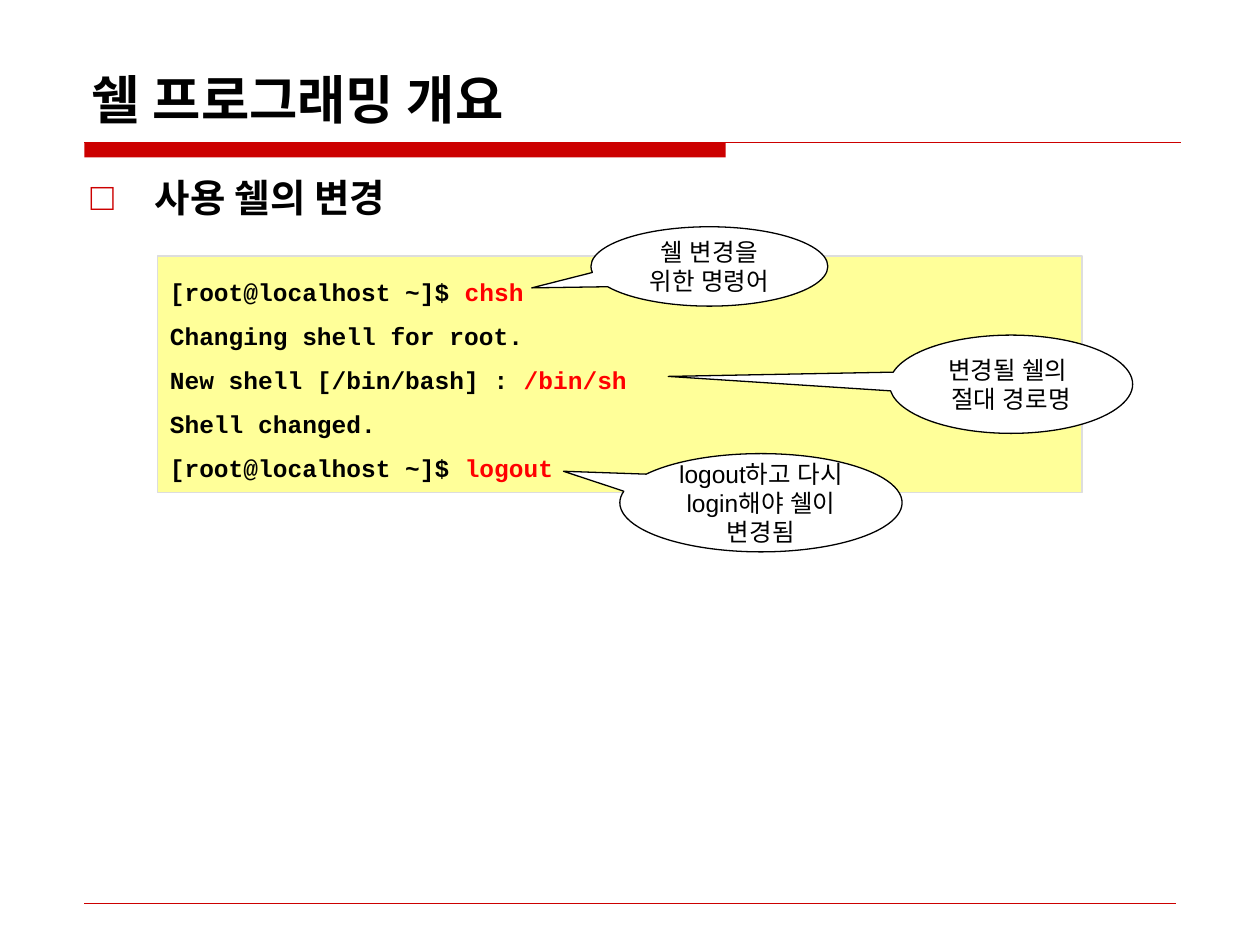
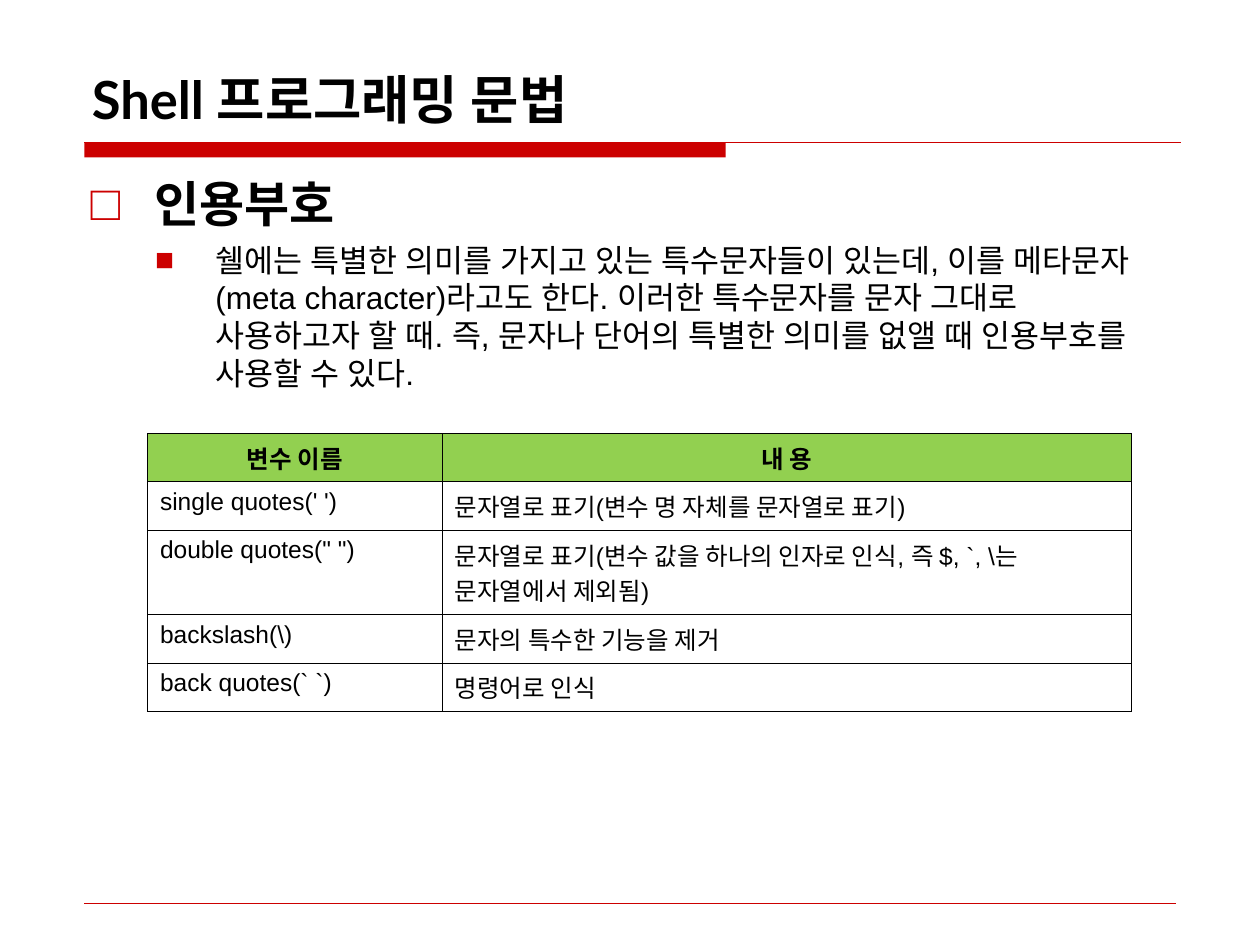
from pptx import Presentation
from pptx.dml.color import RGBColor
from pptx.enum.shapes import MSO_CONNECTOR as Conn, MSO_SHAPE as Shape
from pptx.enum.text import MSO_ANCHOR as Anchor, MSO_AUTO_SIZE as Auto, PP_ALIGN as Align
from pptx.oxml.ns import qn
from pptx.util import Inches, Pt
from lxml.etree import SubElement as Sub

RED, BLACK, WHITE = "CC0000", "000000", "FFFFFF"
HOT, CREAM, GRAY, GREEN = "FF0000", "FFFF99", "DDDDDD", "92D050"


def tint(code):
    return RGBColor.from_string(code)


def place(item, box):
    item.left, item.top, item.width, item.height = map(Inches, box)


class Deck:
    def __init__(self):
        self.show = Presentation()
        self.show.slide_width, self.show.slide_height = Inches(10), Inches(7.5)

    def page(self, title):
        self.slide = self.show.slides.add_slide(self.show.slide_layouts[1])
        self.shapes = self.slide.shapes
        self.shape(Shape.RECTANGLE, (0.67, 1.13, 5.09, 0.12), RED)
        self.rule(0.67, 9.37, 1.13, 0.75)
        self.rule(0.67, 9.33, 7.17, 0.25)
        head = self.shapes.title
        place(head, (0.63, 0.33, 8.75, 0.75))
        frame = self.frame(head.text_frame, Anchor.BOTTOM)
        frame.text = title
        self.font(frame.paragraphs[0], 30, "Lato", True, "Lato")

    def frame(self, frame, anchor):
        frame.word_wrap = True
        frame.auto_size = Auto.NONE
        frame.vertical_anchor = anchor
        return frame

    def font(self, para, size, name="Arial", bold=False, asian=None, align=Align.LEFT):
        para.alignment = align
        font = para.font
        font.size, font.name, font.bold = Pt(size), name, bold
        font.color.rgb = tint(BLACK)
        if asian:
            Sub(font._element, qn("a:ea"), typeface=asian)

    def shape(self, kind, box, fill, line=None, width=0.75):
        item = self.shapes.add_shape(kind, *map(Inches, box))
        item.shadow.inherit = False
        item.fill.solid()
        item.fill.fore_color.rgb = tint(fill)
        if line:
            item.line.color.rgb = tint(line)
            item.line.width = Pt(width)
        else:
            item.line.fill.background()
        return item

    def rule(self, left, right, top, width):
        line = self.shapes.add_connector(
            Conn.STRAIGHT, Inches(left), Inches(top), Inches(right), Inches(top))
        line.line.color.rgb = tint(RED)
        line.line.width = Pt(width)
        Sub(line._element.spPr, qn("a:effectLst"))

    def list(self, items):
        body = self.slide.placeholders[1]
        place(body, (0.62, 1.33, 8.75, 5.25))
        frame = self.frame(body.text_frame, Anchor.TOP)
        frame.text = "\n".join(text for text, *_ in items)
        for para, (_, level, size) in zip(frame.paragraphs, items):
            para.level = level
            para.space_before = Pt(4.5 * level)
            self.bullet(para, level)
            self.font(para, size, bold=level == 0, asian="Lato")

    def bullet(self, para, level):
        left, hang, mark = ((0.51, 0.51, "□"), (0.99, 0.48, "■"))[level]
        props = para._p.get_or_add_pPr()
        props.set("marL", str(Inches(left)))
        props.set("indent", str(-Inches(hang)))
        Sub(Sub(props, qn("a:buClr")), qn("a:srgbClr"), val=RED)
        Sub(props, qn("a:buFont"), typeface="Arial")
        Sub(props, qn("a:buChar"), char=mark)

    def code(self, box, lines):
        item = self.shape(Shape.RECTANGLE, box, CREAM, GRAY, 1)
        frame = self.frame(item.text_frame, Anchor.TOP)
        for num, (plain, hot) in enumerate(lines):
            para = frame.add_paragraph() if num else frame.paragraphs[0]
            para.line_spacing = 1.5
            self.font(para, 14, "Courier New", True)
            para.add_run().text = plain
            if hot:
                run = para.add_run()
                run.text = hot
                run.font.color.rgb = tint(HOT)

    def callout(self, box, tip, text):
        item = self.shape(Shape.OVAL_CALLOUT, box, WHITE, BLACK)
        item.adjustments[0], item.adjustments[1] = tip
        frame = self.frame(item.text_frame, Anchor.MIDDLE)
        para = frame.paragraphs[0]
        para.text = text
        self.font(para, 14, asian="Lato", align=Align.CENTER)

    def table(self, box, cols, rows, data):
        grid = self.shapes.add_table(len(rows), len(cols), *map(Inches, box)).table
        grid.first_row = grid.horz_banding = False
        for col, width in zip(grid.columns, cols):
            col.width = Inches(width)
        for row, height, texts in zip(grid.rows, rows, data):
            row.height = Inches(height)
            head = texts is data[0]
            for cell, text in zip(row.cells, texts):
                self.cell(cell, text, head)

    def cell(self, cell, text, head):
        props = cell._tc.get_or_add_tcPr()
        for side in "LRTB":
            line = Sub(props, qn(f"a:ln{side}"), w=str(Pt(0.45)))
            Sub(Sub(line, qn("a:solidFill")), qn("a:srgbClr"), val=BLACK)
        if head:
            cell.fill.solid()
            cell.fill.fore_color.rgb = tint(GREEN)
        else:
            cell.fill.background()
        para = cell.text_frame.paragraphs[0]
        para.text = text
        self.font(para, 14, bold=head, align=Align.CENTER if head else Align.LEFT)


def main():
    deck = Deck()

    deck.page("쉘 프로그래밍 개요")
    deck.list([("사용 쉘의 변경", 0, 22)])
    deck.code((1.25, 2.03, 7.34, 1.88), [
        ("[root@localhost ~]$", " chsh"),
        ("Changing shell for root.", ""),
        ("New shell [/bin/bash] : ", "/bin/sh"),
        ("Shell changed.", ""),
        ("[root@localhost ~]$ ", "logout"),
    ])
    deck.callout((4.92, 3.6, 2.24, 0.78), (-0.7, -0.32), "logout하고 다시 login해야 쉘이 변경됨")
    deck.callout((4.69, 1.8, 1.88, 0.63), (-0.75, 0.27), "쉘 변경을 위한 명령어")
    deck.callout((7.06, 2.66, 1.93, 0.78), (-1.41, -0.08), "변경될 쉘의 \n절대 경로명")

    deck.page("Shell 프로그래밍 문법")
    deck.list([
        ("인용부호", 0, 28),
        ("쉘에는 특별한 의미를 가지고 있는 특수문자들이 있는데, 이를 메타문자(meta character)라고도 한다. "
         "이러한 특수문자를 문자 그대로 사용하고자 할 때. 즉, 문자나 단어의 특별한 의미를 없앨 때 "
         "인용부호를 사용할 수 있다.", 1, 18),
    ])
    deck.table((1.17, 3.44, 7.81, 2.19), (2.34, 5.47), (0.38, 0.38, 0.67, 0.38, 0.38), [
        ("변수 이름", "내 용"),
        ("single quotes(' ')", "문자열로 표기(변수 명 자체를 문자열로 표기)"),
        ('double quotes(" ")', "문자열로 표기(변수 값을 하나의 인자로 인식, 즉 $, `, \\는 \n문자열에서 제외됨)"),
        ("backslash(\\)", "문자의 특수한 기능을 제거"),
        ("back quotes(` `)", "명령어로 인식"),
    ])

    deck.show.save("out.pptx")


if __name__ == "__main__":
    main()
